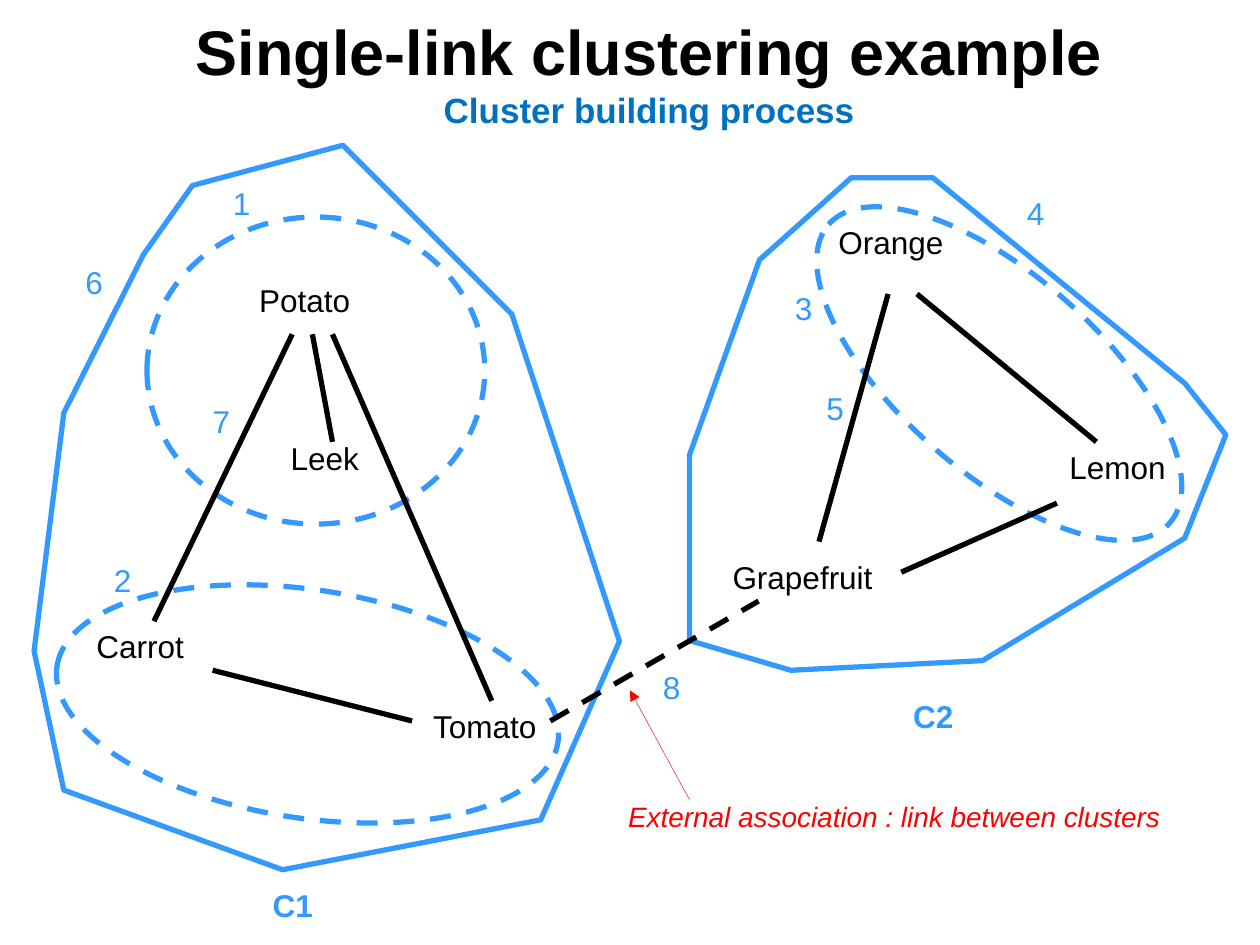
import dataclasses

import lxml.etree
import pptx
import pptx.dml.color
import pptx.enum.dml
import pptx.enum.shapes
import pptx.enum.text
import pptx.oxml.ns
import pptx.util

Pt = pptx.util.Pt
RGB = pptx.dml.color.RGBColor.from_string
DASH = pptx.enum.dml.MSO_LINE.DASH
SOLID = pptx.enum.dml.MSO_LINE.SOLID
LEFT = pptx.enum.text.PP_ALIGN.LEFT
CENTER = pptx.enum.text.PP_ALIGN.CENTER


@dataclasses.dataclass
class Theme:
    font: str = "Arial"
    ink: str = "000000"
    cluster: str = "3399FF"
    subtitle: str = "0070C0"
    external: str = "FF0000"
    title_size: float = 36
    subtitle_size: float = 20
    label_size: float = 18
    caption_size: float = 16
    stroke: float = 3
    hairline: float = 0.25


theme = Theme()


def add_label(text, left, top, width, color, align=CENTER,
              size=theme.label_size, bold=False, italic=False):
    label = slide.shapes.add_textbox(Pt(left), Pt(top), Pt(width), Pt(size * 1.6))
    label.text_frame.word_wrap = False
    label.text_frame.auto_size = pptx.enum.text.MSO_AUTO_SIZE.SHAPE_TO_FIT_TEXT
    label.text_frame.text = text
    paragraph = label.text_frame.paragraphs[0]
    paragraph.alignment = align
    font = paragraph.runs[0].font
    font.name, font.size = theme.font, Pt(size)
    font.bold, font.italic = bold, italic
    font.color.rgb = RGB(color)


def outline(boundary, dash):
    boundary.shadow.inherit = False
    boundary.fill.background()
    boundary.line.color.rgb = RGB(theme.cluster)
    boundary.line.width = Pt(theme.stroke)
    boundary.line.dash_style = dash


deck = pptx.Presentation()
deck.slide_width, deck.slide_height = Pt(720), Pt(540)
slide = deck.slides.add_slide(deck.slide_layouts[5])

heading = slide.shapes.title
heading.left, heading.top, heading.width, heading.height = Pt(103), Pt(3.5), Pt(536), Pt(75)
heading.text_frame.text = "Single-link clustering example\nCluster building process"
heading.text_frame.word_wrap = False
heading.text_frame.auto_size = pptx.enum.text.MSO_AUTO_SIZE.SHAPE_TO_FIT_TEXT
heading.text_frame.vertical_anchor = pptx.enum.text.MSO_ANCHOR.TOP
for paragraph, size, color in zip(
    heading.text_frame.paragraphs,
    (theme.title_size, theme.subtitle_size),
    (theme.ink, theme.subtitle),
):
    paragraph.alignment = CENTER
    font = paragraph.runs[0].font
    font.name, font.size, font.bold = theme.font, Pt(size), True
    font.color.rgb = RGB(color)

for left, top, width, height, rotation in (
    (84, 124, 193, 175.5, 0),
    (31, 337, 289.5, 130.5, 8.6),
    (441.5, 157, 259, 113, 41.2),
):
    pair = slide.shapes.add_shape(
        pptx.enum.shapes.MSO_SHAPE.OVAL, Pt(left), Pt(top), Pt(width), Pt(height))
    pair.rotation = rotation
    outline(pair, DASH)

vegetable_boundary = (
    (82, 145.5), (36.5, 236), (19.5, 372), (36.5, 451.5), (161.5, 497),
    (309, 468.5), (354, 366.5), (292.5, 179.5), (196, 83), (110, 106),
)
fruit_boundary = (
    (486.5, 101.5), (434, 148.5), (394, 260), (394, 366), (452, 383),
    (561.5, 377.5), (677, 307.5), (700.5, 248.5), (677, 219), (533, 101.5),
)
for corners in (vegetable_boundary, fruit_boundary):
    points = [(Pt(x), Pt(y)) for x, y in corners]
    builder = slide.shapes.build_freeform(*points[0])
    builder.add_line_segments(points[1:], close=True)
    outline(builder.convert_to_shape(), SOLID)

for x1, y1, x2, y2, color, weight, dash, arrow in (
    (178.5, 191, 190, 252.5, theme.ink, theme.stroke, SOLID, False),
    (121.5, 383, 235.5, 412, theme.ink, theme.stroke, SOLID, False),
    (167, 191, 88, 355, theme.ink, theme.stroke, SOLID, False),
    (524, 168, 626.5, 252.5, theme.ink, theme.stroke, SOLID, False),
    (515, 327, 604, 287.5, theme.ink, theme.stroke, SOLID, False),
    (507.5, 168, 468, 309.5, theme.ink, theme.stroke, SOLID, False),
    (190, 191, 281, 400.5, theme.ink, theme.stroke, SOLID, False),
    (314.5, 412, 433.5, 343.5, theme.ink, theme.stroke, DASH, False),
    (360, 394.5, 394, 457, theme.external, theme.hairline, SOLID, True),
):
    link = slide.shapes.add_connector(
        pptx.enum.shapes.MSO_CONNECTOR.STRAIGHT, Pt(x1), Pt(y1), Pt(x2), Pt(y2))
    link.line.color.rgb = RGB(color)
    link.line.width = Pt(weight)
    link.line.dash_style = dash
    properties = link._element.spPr
    if arrow:
        lxml.etree.SubElement(
            properties.find(pptx.oxml.ns.qn("a:ln")),
            pptx.oxml.ns.qn("a:headEnd"), type="triangle")
    lxml.etree.SubElement(properties, pptx.oxml.ns.qn("a:effectLst"))

for name, left, top, width in (
    ("Potato", 141, 157, 68),
    ("Leek", 159, 247.5, 55),
    ("Carrot", 48, 355, 66),
    ("Tomato", 240.5, 400.5, 77),
    ("Orange", 472, 124, 76),
    ("Grapefruit", 411.5, 315.5, 96),
    ("Lemon", 604, 252.5, 71),
):
    add_label(name, left, top, width, theme.ink, LEFT)

for step, left, top, align in (
    ("1", 126, 101.5, LEFT),
    ("2", 58, 317, LEFT),
    ("3", 447, 161.5, CENTER),
    ("4", 579.5, 107.5, CENTER),
    ("5", 465, 219, CENTER),
    ("6", 41.5, 147, CENTER),
    ("7", 114.5, 226, LEFT),
    ("8", 371.5, 378, CENTER),
):
    add_label(step, left, top, 24.5, theme.cluster, align)

for cluster, left, top in (("C1", 148.5, 502.5), ("C2", 514.5, 394.5)):
    add_label(cluster, left, top, 37.5, theme.cluster, bold=True)

add_label("External association : link between clusters", 350, 453.5, 322,
          theme.external, size=theme.caption_size, italic=True)

deck.save("out.pptx")
